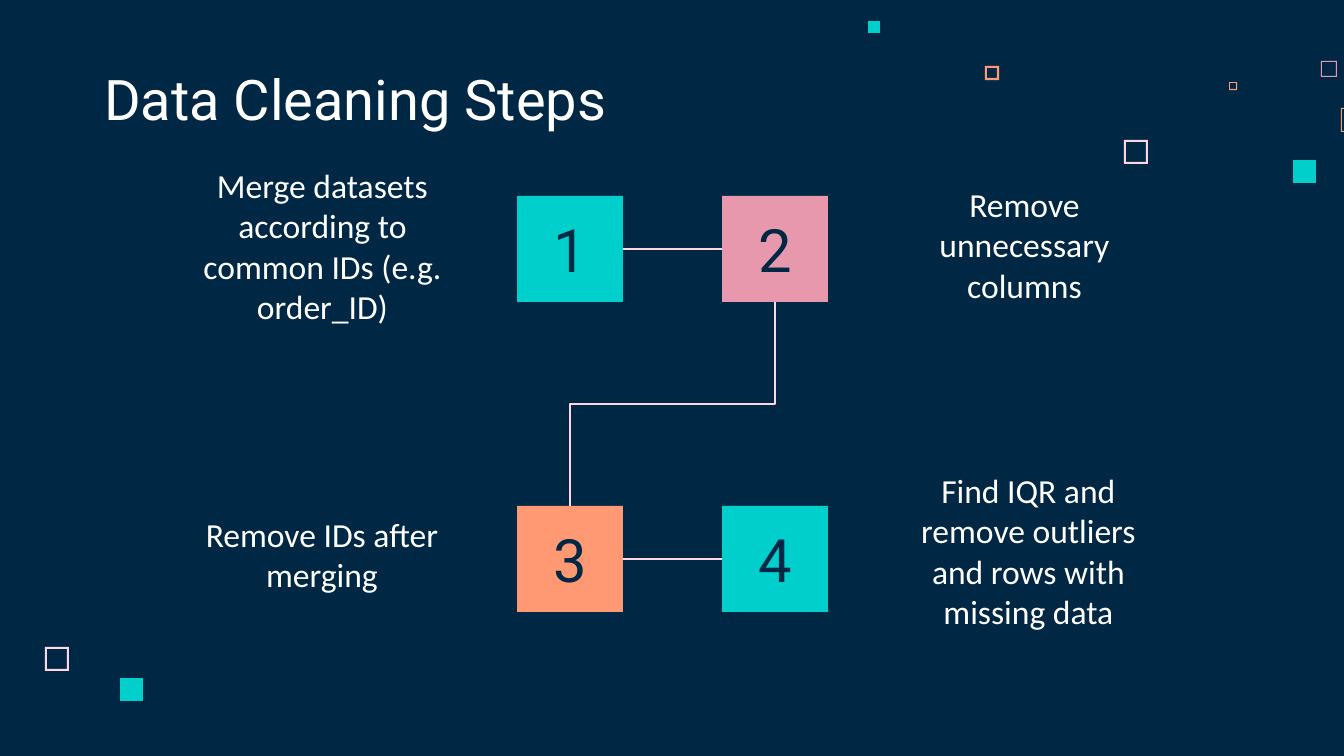
from lxml import etree
from pptx import Presentation
from pptx import util as u
from pptx.dml.color import RGBColor
from pptx.enum import shapes, text
from pptx.oxml import ns

PX = 914400 / 134.4  # EMU in one px

NAVY = RGBColor(0x00, 0x28, 0x45)
WHITE = RGBColor(0xFF, 0xFF, 0xFF)
TEAL = RGBColor(0x00, 0xCF, 0xCC)
ROSE = RGBColor(0xE8, 0x98, 0xAC)
ORANGE = RGBColor(0xFF, 0x99, 0x73)
BLUSH = RGBColor(0xFF, 0xD6, 0xE1)

HEADING_FONT = "Roboto"
BODY_FONT = "Calibri"

STEP_SIZE = 106
COLUMNS = (517, 722)
ROWS = (196, 506)
INSET = 13

# Left, top, size, frame thickness (0 is solid), colour
ORNAMENTS = [
    (1124, 140, 24, 2, BLUSH),
    (1321, 61, 16, 1, ROSE),
    (1229, 82, 8, 1, ORANGE),
    (1341, 108, 24, 1, ORANGE),
    (1293, 160, 23, 0, TEAL),
    (985, 66, 14, 2, ORANGE),
    (868, 21, 12, 0, TEAL),
    (45, 647, 24, 2, BLUSH),
    (120, 678, 23, 0, TEAL),
]

# Square colour, caption, caption box
STEPS = [
    (TEAL, "Merge datasets according to common IDs (e.g. order_ID)", (184, 152, 277, 194)),
    (ROSE, "Remove unnecessary columns", (886, 171, 277, 156)),
    (ORANGE, "Remove IDs after merging", (169, 501, 306, 95)),
    (TEAL, "Find IQR and remove outliers and rows with missing data", (886, 457, 285, 204)),
]


def px(*lengths):
    return [u.Emu(round(length * PX)) for length in lengths]


def write(shape, content, font, size, color, align, anchor, inset=INSET):
    frame = shape.text_frame
    frame.word_wrap = True
    frame.auto_size = text.MSO_AUTO_SIZE.NONE
    frame.vertical_anchor = anchor
    margin = px(inset)[0]
    frame.margin_left = frame.margin_right = margin
    frame.margin_top = frame.margin_bottom = margin
    paragraph = frame.paragraphs[0]
    paragraph.alignment = align
    run = paragraph.add_run()
    run.text = content
    run.font.name = font
    run.font.size = u.Pt(size)
    run.font.color.rgb = color


def paint(shape, color):
    shape.shadow.inherit = False
    shape.fill.solid()
    shape.fill.fore_color.rgb = color
    shape.line.fill.background()


def add_ornament(slide, left, top, size, thickness, color):
    right, bottom = left + size, top + size
    builder = slide.shapes.build_freeform(left, top, scale=PX)
    builder.add_line_segments([(left, bottom), (right, bottom), (right, top)])
    if thickness:
        near_x, near_y = left + thickness, top + thickness
        far_x, far_y = right - thickness, bottom - thickness
        builder.move_to(near_x, near_y)
        builder.add_line_segments([(far_x, near_y), (far_x, far_y), (near_x, far_y)])
    paint(builder.convert_to_shape(), color)


def add_title(slide, content):
    title = slide.shapes.title
    title.left, title.top, title.width, title.height = px(91, 60, 866, 85)
    write(title, content, HEADING_FONT, 30, WHITE,
          text.PP_ALIGN.LEFT, text.MSO_ANCHOR.BOTTOM)


def add_step(slide, number, left, top, color):
    square = slide.shapes.add_shape(
        shapes.MSO_SHAPE.RECTANGLE, *px(left, top, STEP_SIZE, STEP_SIZE))
    paint(square, color)
    write(square, str(number), HEADING_FONT, 32, NAVY,
          text.PP_ALIGN.CENTER, text.MSO_ANCHOR.MIDDLE, inset=0)
    return square


def add_caption(slide, content, box):
    caption = slide.shapes.add_textbox(*px(*box))
    write(caption, content, BODY_FONT, 18, WHITE,
          text.PP_ALIGN.CENTER, text.MSO_ANCHOR.TOP)


def add_link(slide, kind, start, end):
    link = slide.shapes.add_connector(kind, *px(*start, *end))
    link.line.color.rgb = BLUSH
    link.line.width = u.Pt(0.75)
    etree.SubElement(link._element.spPr, ns.qn("a:effectLst"))
    return link


def add_down_link(slide, start, end):
    """Elbow that leaves downwards: laid out sideways, then turned 90 degrees."""
    center_x, center_y = (start[0] + end[0]) / 2, (start[1] + end[1]) / 2
    half_width = abs(end[1] - start[1]) / 2
    half_height = abs(end[0] - start[0]) / 2
    link = add_link(slide, shapes.MSO_CONNECTOR.ELBOW,
                    (center_x - half_width, center_y - half_height),
                    (center_x + half_width, center_y + half_height))
    link._element.spPr.find(ns.qn("a:xfrm")).set("rot", str(90 * 60000))


def main():
    presentation = Presentation()
    presentation.slide_width, presentation.slide_height = px(1344, 756)
    slide = presentation.slides.add_slide(presentation.slide_layouts[5])
    slide.background.fill.solid()
    slide.background.fill.fore_color.rgb = NAVY

    # Scattered squares
    for ornament in ORNAMENTS:
        add_ornament(slide, *ornament)

    add_title(slide, "Data Cleaning Steps")

    # Numbered steps with captions
    for index, (color, content, box) in enumerate(STEPS):
        row, column = divmod(index, 2)
        add_caption(slide, content, box)
        add_step(slide, index + 1, COLUMNS[column], ROWS[row], color)

    # Links from step to step
    half = STEP_SIZE // 2
    link_kinds = (shapes.MSO_CONNECTOR.ELBOW, shapes.MSO_CONNECTOR.STRAIGHT)
    for kind, top in zip(link_kinds, ROWS):
        add_link(slide, kind, (COLUMNS[0] + STEP_SIZE, top + half),
                 (COLUMNS[1], top + half))
    add_down_link(slide, (COLUMNS[1] + half, ROWS[0] + STEP_SIZE),
                  (COLUMNS[0] + half, ROWS[1]))

    presentation.save("out.pptx")


if __name__ == "__main__":
    main()
